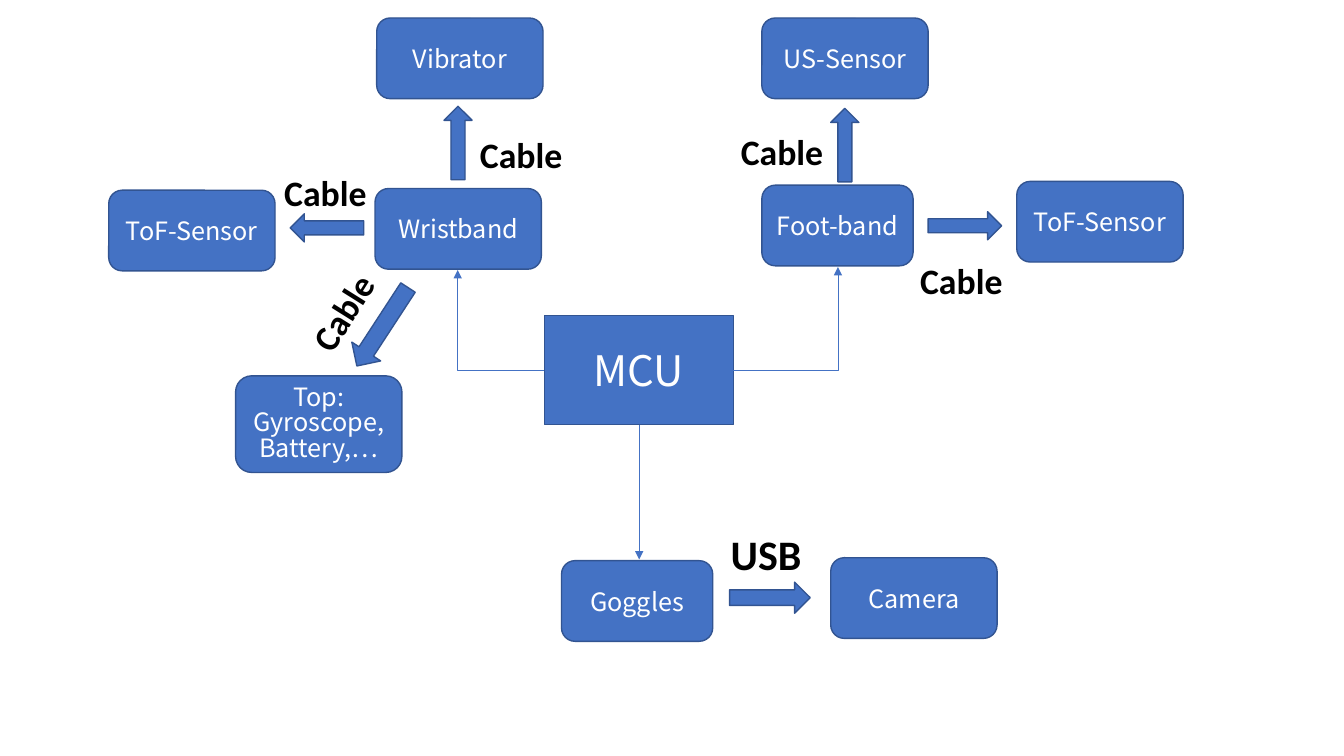
import pptx
import pptx.util
import pptx.dml.color
import pptx.enum.shapes
import pptx.enum.text
import pptx.oxml.ns
import lxml.etree

BLUE = pptx.dml.color.RGBColor(0x44, 0x72, 0xC4)
EDGE = pptx.dml.color.RGBColor(0x32, 0x54, 0x91)
WHITE = pptx.dml.color.RGBColor(0xFF, 0xFF, 0xFF)
BLACK = pptx.dml.color.RGBColor(0, 0, 0)
KIND = pptx.enum.shapes.MSO_SHAPE
LINK = pptx.enum.shapes.MSO_CONNECTOR
ANCHOR = pptx.enum.text.MSO_ANCHOR
CENTER = pptx.enum.text.PP_ALIGN.CENTER
COLS, ROWS = 32, 18
CARD = (3.96, 1.92)
BAND = (3.6, 1.92)
ARROW = (1.75, 0.67)
LABEL = (2.64, 1.34)

deck = pptx.Presentation()
deck.slide_width = pptx.util.Inches(13.33)
deck.slide_height = pptx.util.Inches(7.5)
slide = deck.slides.add_slide(deck.slide_layouts[6])


def place(box, spot):
    return (round((box[0] + spot[0]) * deck.slide_width / COLS),
            round((box[1] + spot[1]) * deck.slide_height / ROWS))


def frame(box, spot, size):
    return place(box, spot) + place((0, 0), size)


def write(shape, text, font, points, color, anchor, space, bold=False):
    body = shape.text_frame
    body.word_wrap = True
    body.vertical_anchor = anchor
    line = body.paragraphs[0]
    line.text = text
    line.alignment = CENTER
    line.line_spacing = space
    line.font.name = font
    line.font.size = pptx.util.Pt(points)
    line.font.bold = bold
    line.font.color.rgb = color


def solid(kind, box, spot, size):
    shape = slide.shapes.add_shape(kind, *frame(box, spot, size))
    shape.shadow.inherit = False
    shape.fill.solid()
    shape.fill.fore_color.rgb = BLUE
    shape.line.color.rgb = EDGE
    shape.line.width = pptx.util.Pt(1)
    return shape


def card(box, spot, text, size=CARD, kind=KIND.ROUNDED_RECTANGLE, points=18, space=1.0):
    shape = solid(kind, box, spot, size)
    write(shape, text, "Noto Sans CJK SC", points, WHITE, ANCHOR.MIDDLE, space)


def arrow(box, spot, turn=0, size=ARROW):
    solid(KIND.RIGHT_ARROW, box, spot, size).rotation = turn


def label(box, spot, text="Cable", turn=0, points=25.5, space=0.8):
    shape = slide.shapes.add_textbox(*frame(box, spot, LABEL))
    shape.rotation = turn
    write(shape, text, "Calibri", points, BLACK, ANCHOR.BOTTOM, space, True)


def link(box, start, end):
    bent = start[0] != end[0]
    kind = LINK.ELBOW if bent else LINK.STRAIGHT
    line = slide.shapes.add_connector(kind, *place(box, start), *place(box, end))
    line.line.color.rgb = BLUE
    line.line.width = pptx.util.Pt(0.5)
    name = pptx.oxml.ns.qn
    props = line._element.spPr
    if bent:
        props.find(name("a:prstGeom")).set("prst", "bentConnector2")
    stroke = props.find(name("a:ln"))
    lxml.etree.SubElement(stroke, name("a:tailEnd"), type="triangle")
    lxml.etree.SubElement(props, name("a:effectLst"))


def hub(box):
    card(box, (0, 0), "MCU", (4.5, 2.6), KIND.RECTANGLE, 30)
    link(box, (4.5, 1.3), (6.99, -1.15))
    link(box, (0, 1.3), (-2.06, -1.08))
    link(box, (2.26, 2.6), (2.26, 5.81))


def wrist(box):
    card(box, (6.34, 4.06), "Wristband")
    card(box, (6.38, 0), "Vibrator")
    card(box, (0, 4.1), "ToF-Sensor")
    card(box, (3.02, 8.52), "Top: Gyroscope, Battery,…", (3.96, 2.3), space=0.84)
    arrow(box, (4.32, 4.66), 180)
    arrow(box, (7.44, 2.64), 270)
    arrow(box, (5.4, 6.94), 123.1, (2.23, 0.82))
    label(box, (8.5, 2.52))
    label(box, (3.84, 3.43))
    label(box, (4.2, 6.31), turn=302.1)


def foot(box):
    card(box, (0.84, 3.98), "Foot-band", BAND)
    card(box, (0.84, 0), "US-Sensor")
    card(box, (6.91, 3.89), "ToF-Sensor")
    arrow(box, (4.8, 4.61))
    arrow(box, (1.94, 2.69), 270)
    label(box, (4.27, 5.52))
    label(box, (0, 2.45))


def goggles(box):
    card(box, (0, 0.77), "Goggles", BAND)
    card(box, (6.41, 0.7), "Camera")
    arrow(box, (4, 1.28), size=(1.92, 0.74))
    label(box, (3.55, 0), "USB", points=30, space=0.9)


hub((12.96, 7.51))
wrist((2.59, 0.43))
foot((17.3, 0.43))
goggles((13.37, 12.58))
deck.save("out.pptx")
